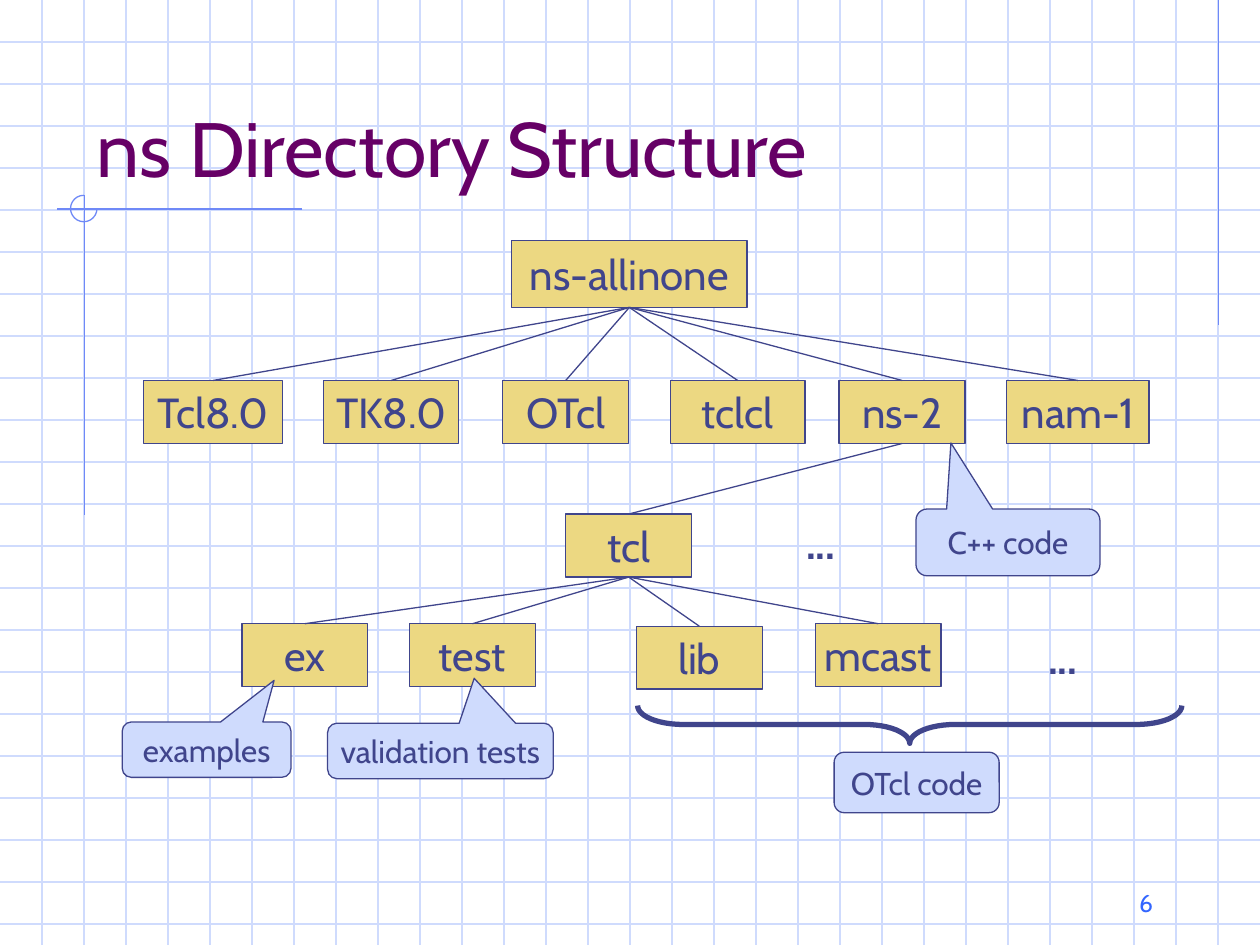
"""Draw the ns directory tree with its notes on a grid-paper slide."""
from typing import NamedTuple

from lxml import etree
from pptx import Presentation
from pptx.dml.color import RGBColor
from pptx.enum.shapes import MSO_CONNECTOR, MSO_SHAPE
from pptx.enum.text import MSO_ANCHOR, PP_ALIGN
from pptx.oxml.ns import qn
from pptx.util import Inches, Pt

STRAIGHT = MSO_CONNECTOR.STRAIGHT
RECT, ROUND = MSO_SHAPE.RECTANGLE, MSO_SHAPE.ROUNDED_RECTANGLE
CALLOUT = MSO_SHAPE.ROUNDED_RECTANGULAR_CALLOUT
ARC, BRACE = MSO_SHAPE.ARC, MSO_SHAPE.RIGHT_BRACE
MIDDLE, BASE = MSO_ANCHOR.MIDDLE, MSO_ANCHOR.BOTTOM
TOP = MSO_ANCHOR.TOP
LEFT, CENTER, RIGHT = PP_ALIGN.LEFT, PP_ALIGN.CENTER, PP_ALIGN.RIGHT

FONT = "Cabin"
INK = RGBColor(0x40, 0x45, 0x8C)
GOLD = RGBColor(0xEC, 0xD8, 0x82)
PALE = RGBColor(0xCF, 0xDB, 0xFD)
TRIM = RGBColor(0x6F, 0x89, 0xF7)
PLUM = RGBColor(0x66, 0x00, 0x66)
BLUE = RGBColor(0x33, 0x66, 0xFF)
WIDE, HIGH, STEP = 10, 7.5, 3


class Box(NamedTuple):
    left: float
    top: float
    width: float
    height: float

    def lengths(self) -> list:
        return [Inches(side) for side in self]


class Node(NamedTuple):
    text: str
    box: Box
    parent: str = ""


class Note(NamedTuple):
    text: str
    box: Box
    tip: tuple = ()


class Label(NamedTuple):
    text: str
    box: Box
    size: int
    color: RGBColor
    align: int = LEFT
    anchor: int = BASE
    bold: bool = False
    wrap: bool = True


NODES = [
    Node("ns-allinone", Box(4.06, 1.91, 1.87, 0.53)),
    Node("Tcl8.0", Box(1.14, 3.02, 1.1, 0.5), "ns-allinone"),
    Node("TK8.0", Box(2.57, 3.02, 1.07, 0.5), "ns-allinone"),
    Node("OTcl", Box(3.99, 3.02, 1, 0.5), "ns-allinone"),
    Node("tclcl", Box(5.32, 3.02, 1.07, 0.5), "ns-allinone"),
    Node("ns-2", Box(6.66, 3.02, 1, 0.5), "ns-allinone"),
    Node("nam-1", Box(7.99, 3.02, 1.13, 0.5), "ns-allinone"),
    Node("tcl", Box(4.49, 4.08, 1, 0.5), "ns-2"),
    Node("ex", Box(1.92, 4.95, 1, 0.5), "tcl"),
    Node("test", Box(3.25, 4.95, 1, 0.5), "tcl"),
    Node("lib", Box(5.05, 4.97, 1, 0.5), "tcl"),
    Node("mcast", Box(6.47, 4.95, 1, 0.5), "tcl"),
]
NOTES = [
    Note("examples", Box(0.97, 5.73, 1.34, 0.44), (0.4, -1.25)),
    Note("validation tests", Box(2.6, 5.74, 1.79, 0.44), (0.15, -1.31)),
    Note("C++ code", Box(7.27, 4.04, 1.46, 0.53), (-0.31, -1.49)),
    Note("OTcl code", Box(6.62, 5.97, 1.31, 0.48)),
]
LABELS = [
    Label("ns Directory Structure", Box(0.67, 0.33, 8.5, 1.25), 44, PLUM),
    Label("...", Box(6.3, 4.06, 0.48, 0.5), 24, INK, anchor=TOP, bold=True, wrap=False),
    Label("...", Box(8.22, 4.97, 0.48, 0.5), 24, INK, anchor=TOP, bold=True, wrap=False),
    Label("6", Box(7.17, 6.83, 2.08, 0.5), 14, BLUE, RIGHT),
]


def write(shape, text: str, size: int, color: RGBColor, align: int = CENTER,
          anchor: int = MIDDLE, bold: bool = False, wrap: bool = False) -> None:
    frame = shape.text_frame
    frame.text = text
    frame.word_wrap = wrap
    frame.vertical_anchor = anchor
    para = frame.paragraphs[0]
    para.alignment = align
    font = para.runs[0].font
    font.name, font.size, font.bold = FONT, Pt(size), bold
    font.color.rgb = color


def add_line(slide, start: tuple, end: tuple, color: RGBColor):
    points = [Inches(n) for n in (*start, *end)]
    line = slide.shapes.add_connector(STRAIGHT, *points)
    line.line.color.rgb = color
    line.line.width = Pt(0.75)
    etree.SubElement(line._element.spPr, qn("a:effectLst"))
    return line


def add_shape(slide, kind: int, box: Box, color: RGBColor, fill: RGBColor | None = None,
              width: float = 0.75):
    shape = slide.shapes.add_shape(kind, *box.lengths())
    shape.shadow.inherit = False
    if fill is None:
        shape.fill.background()
    else:
        shape.fill.solid()
        shape.fill.fore_color.rgb = fill
    shape.line.color.rgb = color
    shape.line.width = Pt(width)
    return shape


def draw_paper(slide) -> None:
    for n in range(1, int(HIGH * STEP) + 1):
        add_line(slide, (0, n / STEP), (WIDE, n / STEP), PALE)
    for n in range(1, WIDE * STEP):
        add_line(slide, (n / STEP, 0), (n / STEP, HIGH), PALE)
    add_line(slide, (9.67, 0), (9.67, 2.58), TRIM)
    add_line(slide, (2.4, 1.66), (0.45, 1.66), TRIM)
    add_line(slide, (0.67, 1.55), (0.67, 4.09), TRIM)
    arc = add_shape(slide, ARC, Box(0.56, 1.55, 0.21, 0.21), TRIM)
    arc.adjustments[0], arc.adjustments[1] = 0, 162


def draw_tree(slide) -> None:
    shapes = {}
    for node in NODES:
        shape = add_shape(slide, RECT, node.box, INK, GOLD)
        write(shape, node.text, 24, INK)
        shapes[node.text] = shape
        if node.parent:
            link = add_line(slide, (0, 0), (1, 1), INK)
            link.begin_connect(shapes[node.parent], 2)
            link.end_connect(shape, 0)


def draw_notes(slide) -> None:
    brace = add_shape(slide, BRACE, Box(7.07, 3.59, 0.3, 4.32), INK, width=3)
    brace.rotation = 90
    brace.adjustments[0] = 1.2
    for note in NOTES:
        shape = add_shape(slide, CALLOUT if note.tip else ROUND, note.box, INK, PALE)
        for n, value in enumerate(note.tip):
            shape.adjustments[n] = value
        write(shape, note.text, 18, INK)


def draw_labels(slide) -> None:
    for label in LABELS:
        shape = slide.shapes.add_textbox(*label.box.lengths())
        write(shape, label.text, *label[2:])


def main() -> None:
    deck = Presentation()
    deck.slide_width, deck.slide_height = Inches(WIDE), Inches(HIGH)
    slide = deck.slides.add_slide(deck.slide_layouts[6])
    draw_paper(slide)
    draw_tree(slide)
    draw_notes(slide)
    draw_labels(slide)
    deck.save("out.pptx")


if __name__ == "__main__":
    main()
